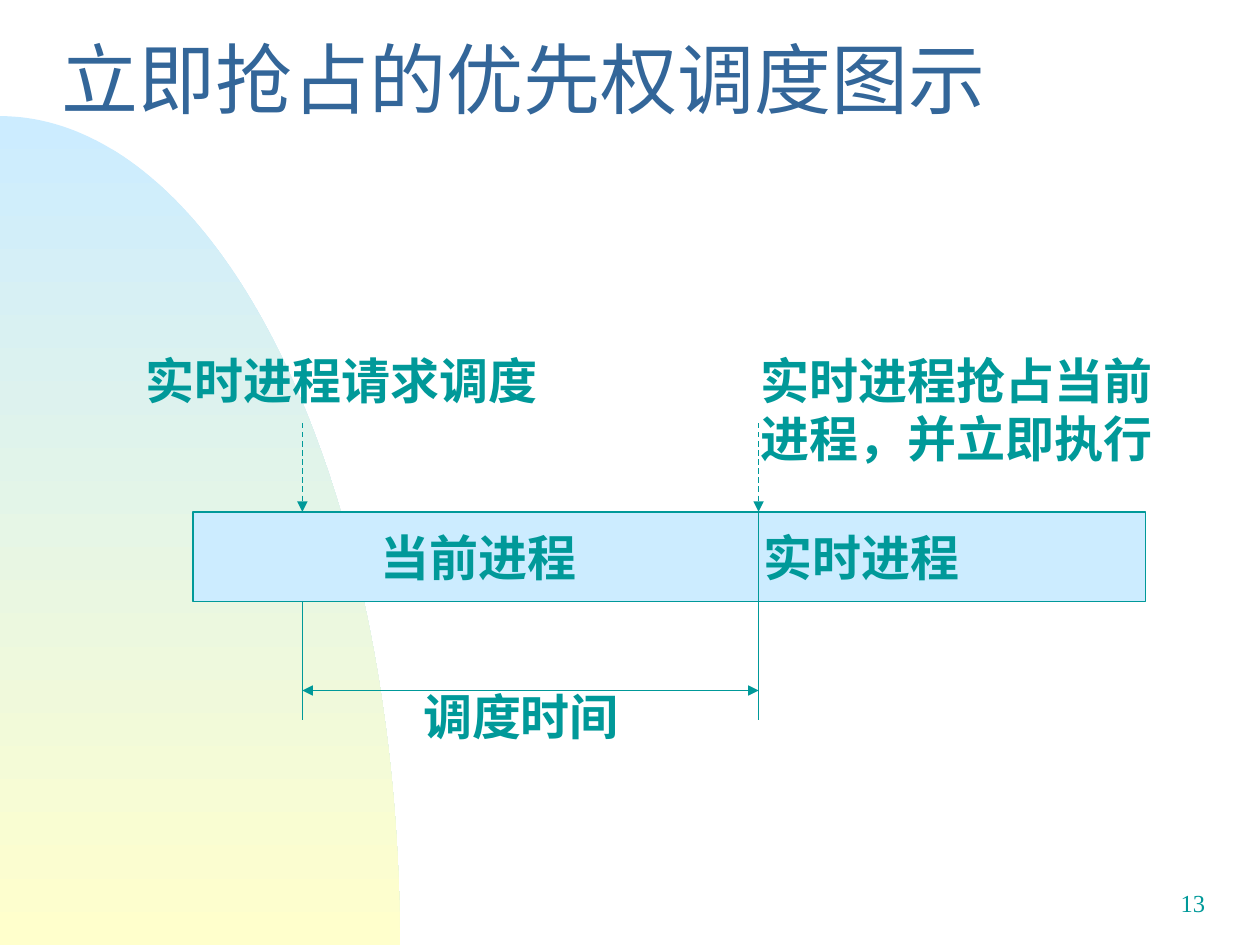
from math import cos, pi, sin
from typing import NamedTuple

from pptx import Presentation
from pptx.dml.color import RGBColor
from pptx.enum.dml import MSO_LINE_DASH_STYLE as Dash
from pptx.enum.shapes import MSO_CONNECTOR_TYPE as Connector, MSO_SHAPE as Shape
from pptx.enum.text import MSO_ANCHOR as Anchor, PP_ALIGN as Align
from pptx.oxml.ns import qn
from pptx.util import Pt
from lxml.etree import SubElement

COLORS = {"teal": "009999", "title": "336699", "sky": "CCECFF", "cream": "FFFFCC"}

REQUEST_X, PREEMPT_X = 172.8, 433.5
ARROW_TOP, BAR_TOP, BAR_BOTTOM = 241.9, 292.5, 343.6
SPAN_Y, TICK_BOTTOM = 394.6, 411.6


class Label(NamedTuple):
    text: str
    left: float
    top: float
    width: float
    height: float
    size: float = 28
    font: str = "Arial"
    bold: bool = True
    align: Align = Align.LEFT


class Line(NamedTuple):
    x1: float
    y1: float
    x2: float
    y2: float
    head: bool = False
    tail: bool = False
    dashed: bool = False


LABELS = [
    Label("实时进程请求调度", 76.3, 196.5, 244, 41),
    Label("实时进程抢占当前进程，并立即执行", 427.7, 196.5, 244, 75),
    Label("调度时间", 234.7, 388.8, 136, 41),
    Label("13", 545.8, 504, 150, 36, 14, "Times New Roman", False, Align.RIGHT),
]
LINES = [
    Line(REQUEST_X, BAR_BOTTOM, REQUEST_X, TICK_BOTTOM),
    Line(PREEMPT_X, BAR_TOP, PREEMPT_X, TICK_BOTTOM),
    Line(REQUEST_X, SPAN_Y, PREEMPT_X, SPAN_Y, head=True, tail=True),
    *(Line(x, ARROW_TOP, x, BAR_TOP, tail=True, dashed=True)
      for x in (REQUEST_X, PREEMPT_X)),
]


def rgb(name: str) -> RGBColor:
    return RGBColor.from_string(COLORS[name])


def style(p, size: float, font: str, color: str, bold: bool = False) -> None:
    p.font.size, p.font.name, p.font.bold = Pt(size), font, bold
    p.font.color.rgb = rgb(color)


def add_backdrop(s, rx: float = 228.5, top: float = 66.4, bottom: float = 540,
                 steps: int = 90) -> None:
    """Draw a quarter ellipse in the lower left corner."""
    ry = bottom - top
    angles = [pi / 2 * i / steps for i in range(steps + 1)]
    curve = [(Pt(rx * sin(a)), Pt(bottom - ry * cos(a))) for a in angles]
    builder = s.shapes.build_freeform(*curve[0])
    builder.add_line_segments(curve[1:] + [(0, Pt(bottom))], close=True)
    sp = builder.convert_to_shape()
    sp.shadow.inherit = False
    sp.line.fill.background()
    sp.fill.gradient()
    sp.fill.gradient_angle = 270
    for stop, name, position in zip(sp.fill.gradient_stops, ("sky", "cream"), (0, 1)):
        stop.color.rgb, stop.position = rgb(name), position


def add_title(s, text: str) -> None:
    sp = s.shapes.title
    sp.left, sp.top, sp.width, sp.height = Pt(28), Pt(12.2), Pt(680), Pt(78)
    sp.text_frame.text = text
    sp.text_frame.vertical_anchor = Anchor.MIDDLE
    p = sp.text_frame.paragraphs[0]
    p.alignment, p.line_spacing = Align.LEFT, 0.7
    style(p, 44, "Arial Narrow", "title")


def add_bar(s, current: str, realtime: str) -> None:
    """Draw the time bar, its second name set at a tab stop."""
    sp = s.shapes.add_shape(Shape.RECTANGLE, Pt(110.2), Pt(BAR_TOP),
                            Pt(544.4), Pt(BAR_BOTTOM - BAR_TOP))
    sp.shadow.inherit = False
    sp.fill.solid()
    sp.fill.fore_color.rgb = rgb("sky")
    sp.line.color.rgb, sp.line.width = rgb("teal"), Pt(0.75)
    tf = sp.text_frame
    tf.margin_left, tf.vertical_anchor = Pt(107.5), Anchor.MIDDLE
    p = tf.paragraphs[0]
    p.text, p.alignment = f"{current}\t{realtime}", Align.LEFT
    tabs = SubElement(p._p.get_or_add_pPr(), qn("a:tabLst"))
    SubElement(tabs, qn("a:tab"), pos=str(Pt(218.5)), algn="l")
    style(p, 28, "Arial", "teal", True)


def add_line(s, line: Line) -> None:
    c = s.shapes.add_connector(Connector.STRAIGHT, Pt(line.x1), Pt(line.y1),
                               Pt(line.x2), Pt(line.y2))
    c.line.color.rgb, c.line.width = rgb("teal"), Pt(0.75)
    if line.dashed:
        c.line.dash_style = Dash.DASH
    ln = c.line._get_or_add_ln()
    for shown, tag in ((line.head, "a:headEnd"), (line.tail, "a:tailEnd")):
        if shown:
            SubElement(ln, qn(tag), type="triangle")
    SubElement(c._element.spPr, qn("a:effectLst"))


def add_label(s, label: Label) -> None:
    sp = s.shapes.add_textbox(Pt(label.left), Pt(label.top),
                              Pt(label.width), Pt(label.height))
    sp.text_frame.word_wrap = True
    p = sp.text_frame.paragraphs[0]
    p.text, p.alignment = label.text, label.align
    style(p, label.size, label.font, "teal", label.bold)


def main() -> None:
    prs = Presentation()
    prs.slide_width, prs.slide_height = Pt(720), Pt(540)
    s = prs.slides.add_slide(prs.slide_layouts[5])
    add_backdrop(s)
    add_title(s, "立即抢占的优先权调度图示")
    add_bar(s, "当前进程", "实时进程")
    for line in LINES:
        add_line(s, line)
    for label in LABELS:
        add_label(s, label)
    prs.save("out.pptx")


if __name__ == "__main__":
    main()
